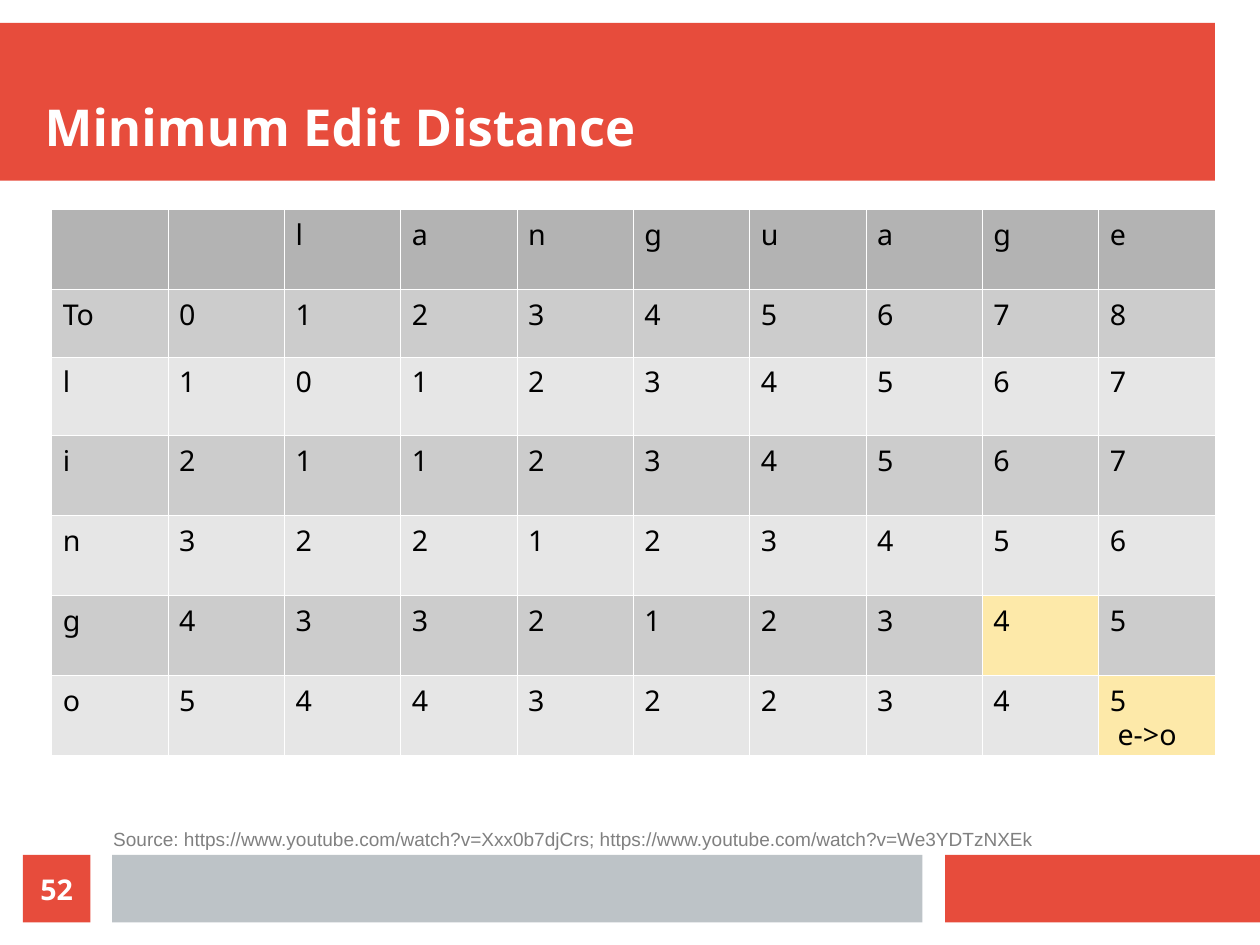
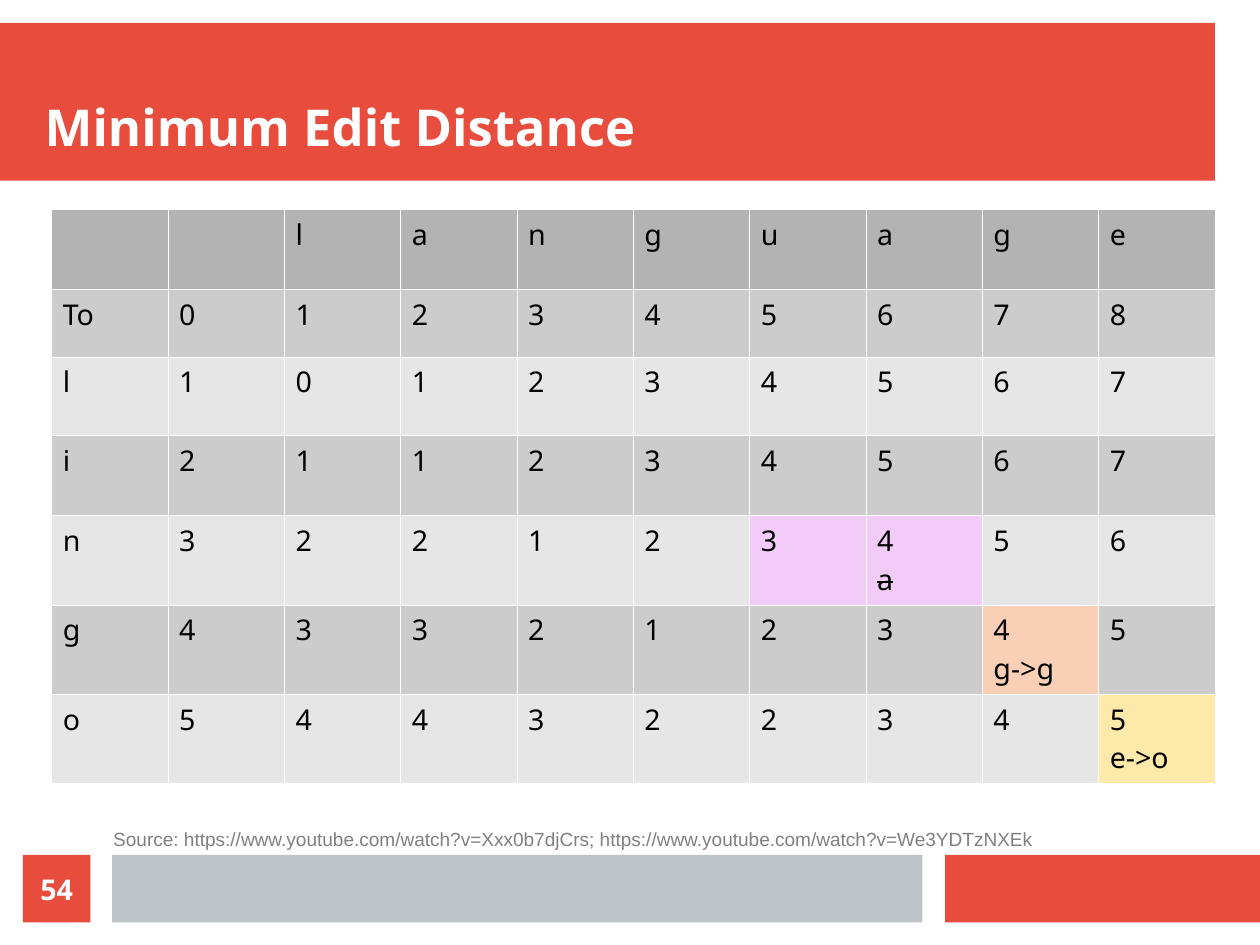
from pptx import Presentation
from pptx.dml.color import RGBColor
from pptx.enum.shapes import MSO_SHAPE
from pptx.enum.text import MSO_ANCHOR, MSO_AUTO_SIZE, PP_ALIGN
from pptx.oxml.ns import qn
from pptx.util import Inches, Pt
from lxml.etree import SubElement

COLORS = {
    "red": "E74C3C", "silver": "BDC3C7", "white": "FFFFFF", "black": "000000",
    "source": "808080", "header": "B3B3B3", "dark row": "CCCCCC", "light row": "E6E6E6",
    "yellow": "FDE9A9", "orange": "F9CFB5", "violet": "F2CBF8",
}
SOURCE = ("Source: https://www.youtube.com/watch?v=Xxx0b7djCrs; "
          "https://www.youtube.com/watch?v=We3YDTzNXEk")
CM_PER_INCH = 2.54
ROW_HEIGHTS = [0.7, 0.59, 0.69, 0.7, 0.7, 0.7, 0.7]
DISTANCES = [
    ["", "", *"language"],
    ["To", *"012345678"],
    ["l", *"101234567"],
    ["i", *"211234567"],
    ["n", *"322123456"],
    ["g", *"433212345"],
    ["o", *"544322345"],
]

# Each mark: (row, column): (cell colour, edit written below the distance)
SLIDES = [
    {"number": "52", "floating edit": "e->o",
     "marks": {(5, 8): ("yellow", ""), (6, 9): ("yellow", "")}},
    {"number": "54", "floating edit": "",
     "marks": {(4, 6): ("violet", ""), (4, 7): ("violet", "a"),
               (5, 8): ("orange", "g->g"), (6, 9): ("yellow", "e->o")}},
]
DELETION = "a"


def add_run(paragraph, text, color="black", size=18, font="Noto Sans", bold=False):
    run = paragraph.add_run()
    run.text = text
    run.font.name = font
    run.font.size = Pt(size)
    run.font.bold = bold
    run.font.color.rgb = RGBColor.from_string(COLORS[color])
    return run


def add_block(slide, color, left, top, width, height):
    shape = slide.shapes.add_shape(MSO_SHAPE.RECTANGLE, Inches(left), Inches(top),
                                   Inches(width), Inches(height))
    shape.shadow.inherit = False
    shape.fill.solid()
    shape.fill.fore_color.rgb = RGBColor.from_string(COLORS[color])
    shape.line.fill.background()
    return shape


# The page is 28 by 21 cm
presentation = Presentation()
presentation.slide_width = Inches(28 / CM_PER_INCH)
presentation.slide_height = Inches(21 / CM_PER_INCH)
layout = presentation.slide_layouts[1]
slides = [presentation.slides.add_slide(layout) for _ in SLIDES]

# Shared bands, kept on the layout behind everything else
bands = [("red", 0, 0.2, 10.63, 1.38),
         ("red", 8.27, 7.48, 2.76, 0.59),
         ("silver", 0.98, 7.48, 7.09, 0.59)]
for position, band in enumerate(bands):
    element = add_block(slides[0], *band).element
    element.nvSpPr.cNvPr.set("id", str(20 + position))
    layout.shapes.element.insert(2 + position, element)

for slide, content in zip(slides, SLIDES):
    # Title and source line
    title, source = slide.shapes.title, slide.placeholders[1]
    for shape, box, anchor in [(title, (0.39, 0.39, 10.24, 0.98), MSO_ANCHOR.BOTTOM),
                               (source, (0.75, 7.24, 10.04, 0.28), MSO_ANCHOR.TOP)]:
        shape.left, shape.top, shape.width, shape.height = map(Inches, box)
        frame = shape.text_frame
        frame.margin_left = frame.margin_right = frame.margin_top = frame.margin_bottom = 0
        frame.vertical_anchor = anchor
        frame.auto_size = MSO_AUTO_SIZE.NONE
        frame.word_wrap = True
        frame.paragraphs[0].alignment = PP_ALIGN.LEFT
        frame.paragraphs[0].space_before = Pt(0)
    add_run(title.text_frame.paragraphs[0], "Minimum Edit Distance", "white", 32, bold=True)
    paragraph = source.text_frame.paragraphs[0]
    properties = paragraph._p.get_or_add_pPr()
    properties.set("marL", str(Inches(0.24)))
    properties.set("indent", "0")
    SubElement(properties, qn("a:buNone"))
    add_run(paragraph, SOURCE, "source", 12, "Arial")

    # Distance table
    table = slide.shapes.add_table(len(DISTANCES), len(DISTANCES[0]), Inches(0.45), Inches(1.83),
                                   Inches(10.18), Inches(sum(ROW_HEIGHTS))).table
    table.first_row = table.horz_banding = False
    for row, height in zip(table.rows, ROW_HEIGHTS):
        row.height = Inches(height)
    for row, values in enumerate(DISTANCES):
        row_color = "header" if row == 0 else "dark row" if row % 2 else "light row"
        for column, value in enumerate(values):
            color, edit = content["marks"].get((row, column), (row_color, ""))
            cell = table.cell(row, column)
            properties = cell._tc.get_or_add_tcPr()
            for side in ("lnL", "lnR", "lnT", "lnB"):
                line = SubElement(properties, qn(f"a:{side}"), w=str(Pt(0.06)))
                line_fill = SubElement(line, qn("a:solidFill"))
                SubElement(line_fill, qn("a:srgbClr"), val=COLORS["white"])
            cell.fill.solid()
            cell.fill.fore_color.rgb = RGBColor.from_string(COLORS[color])
            if value:
                add_run(cell.text_frame.paragraphs[0], value)
            if edit:
                run = add_run(cell.text_frame.add_paragraph(), edit)
                if edit == DELETION:
                    run._r.get_or_add_rPr().set("strike", "sngStrike")

    # Edit floating over the last cell
    if content["floating edit"]:
        label = slide.shapes.add_textbox(Inches(9.68), Inches(6.22), Inches(0.73), Inches(0.44))
        label.text_frame.word_wrap = False
        label.text_frame.auto_size = MSO_AUTO_SIZE.SHAPE_TO_FIT_TEXT
        add_run(label.text_frame.paragraphs[0], content["floating edit"])

    # Page number
    page = add_block(slide, "red", 0.2, 7.48, 0.59, 0.59)
    frame = page.text_frame
    frame.margin_left = frame.margin_right = frame.margin_top = frame.margin_bottom = 0
    frame.vertical_anchor = MSO_ANCHOR.MIDDLE
    frame.paragraphs[0].alignment = PP_ALIGN.CENTER
    add_run(frame.paragraphs[0], content["number"], "white", bold=True)

presentation.save("out.pptx")
